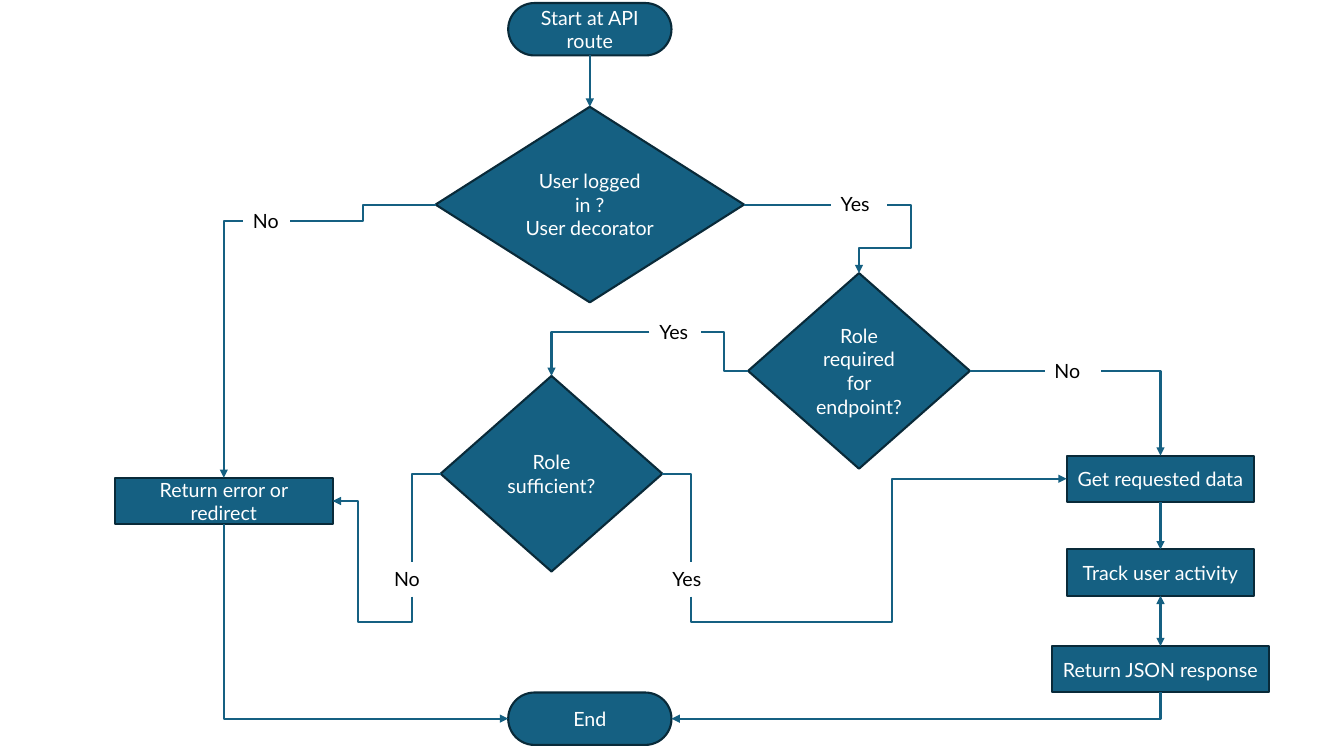
from lxml import etree
from pptx import Presentation
from pptx.dml.color import RGBColor
from pptx.enum.shapes import MSO_CONNECTOR, MSO_SHAPE
from pptx.enum.text import MSO_ANCHOR, MSO_AUTO_SIZE, PP_ALIGN
from pptx.oxml.ns import qn
from pptx.util import Inches, Pt

PILL = MSO_SHAPE.FLOWCHART_TERMINATOR
DIAMOND = MSO_SHAPE.DIAMOND
RECT = MSO_SHAPE.RECTANGLE
ELBOW = MSO_CONNECTOR.ELBOW
STRAIGHT = MSO_CONNECTOR.STRAIGHT
CENTER, LEFT_AL = PP_ALIGN.CENTER, PP_ALIGN.LEFT
MIDDLE, UPPER = MSO_ANCHOR.MIDDLE, MSO_ANCHOR.TOP
FIT = MSO_AUTO_SIZE.SHAPE_TO_FIT_TEXT

COLORS = {"fill": "156082", "edge": "092A39", "light": "FFFFFF", "dark": "000000"}
FONT = "Lato"
TOP, LEFT, BOTTOM, RIGHT = range(4)  # connection sites

# key: shape, left, top, width, height, text
NODES = {
    "start": (PILL, 5.04, 0.03, 1.62, 0.52, "Start at API route"),
    "login": (DIAMOND, 4.32, 1.06, 3.06, 1.94, "User logged in ?\nUser decorator"),
    "role": (DIAMOND, 7.42, 2.71, 2.2, 1.94, "Role required for endpoint?"),
    "enough": (DIAMOND, 4.37, 3.73, 2.2, 1.94, "Role sufficient?"),
    "error": (RECT, 1.14, 4.74, 2.16, 0.46, "Return error or redirect"),
    "data": (RECT, 10.58, 4.52, 1.86, 0.46, "Get requested data"),
    "track": (RECT, 10.58, 5.45, 1.86, 0.46, "Track user activity"),
    "json": (RECT, 10.43, 6.41, 2.16, 0.46, "Return JSON response"),
    "end": (PILL, 5.04, 6.87, 1.62, 0.52, "End"),
}

# key: left, top, width, text
LABELS = {
    "login no": (2.41, 2.02, 0.47, "No"),
    "login yes": (8.24, 1.86, 0.56, "Yes"),
    "role yes": (6.44, 3.12, 0.51, "Yes"),
    "role no": (10.36, 3.51, 0.56, "No"),
    "enough no": (3.81, 5.58, 0.56, "No"),
    "enough yes": (6.57, 5.58, 0.56, "Yes"),
}

# from, site, to, site, arrowheads, bends along the first and second direction
LINKS = [
    ("start", BOTTOM, "login", TOP, ["tail"], ()),
    ("login", LEFT, "login no", RIGHT, [], ()),
    ("login no", LEFT, "error", TOP, ["tail"], ()),
    ("login", RIGHT, "login yes", LEFT, [], ()),
    ("login yes", RIGHT, "role", TOP, ["tail"], (9.04, 2.46)),
    ("role", LEFT, "role yes", RIGHT, [], ()),
    ("role yes", LEFT, "enough", TOP, ["tail"], ()),
    ("enough", LEFT, "enough no", TOP, [], ()),
    ("enough no", BOTTOM, "error", RIGHT, ["tail"], (6.17, 3.55)),
    ("error", BOTTOM, "end", LEFT, ["tail"], ()),
    ("enough", RIGHT, "enough yes", TOP, [], ()),
    ("enough yes", BOTTOM, "data", LEFT, ["tail"], (6.17, 8.85)),
    ("role", RIGHT, "role no", LEFT, [], ()),
    ("role no", RIGHT, "data", TOP, ["tail"], ()),
    ("data", BOTTOM, "track", TOP, ["tail"], ()),
    ("track", BOTTOM, "json", TOP, ["head", "tail"], ()),
    ("json", BOTTOM, "end", RIGHT, ["tail"], ()),
]


def rgb(name):
    return RGBColor.from_string(COLORS[name])


def put_text(shape, text, color="light", align=CENTER, anchor=MIDDLE, size=14):
    frame = shape.text_frame
    frame.word_wrap = True
    frame.vertical_anchor = anchor
    frame.text = text
    for para in frame.paragraphs:
        para.alignment = align
        for run in para.runs:
            run.font.name = FONT
            run.font.size = Pt(size)
            run.font.color.rgb = rgb(color)


def add_node(slide, x, y, kind, left, top, width, height, text):
    node = slide.shapes.add_shape(
        kind, Inches(x + left), Inches(y + top), Inches(width), Inches(height))
    node.shadow.inherit = False
    node.fill.solid()
    node.fill.fore_color.rgb = rgb("fill")
    node.line.color.rgb = rgb("edge")
    node.line.width = Pt(1.5)
    put_text(node, text)
    return node


def add_label(slide, x, y, left, top, width, text):
    label = slide.shapes.add_textbox(
        Inches(x + left), Inches(y + top), Inches(width), Inches(0.34))
    put_text(label, text, color="dark", align=LEFT_AL, anchor=UPPER)
    label.text_frame.auto_size = FIT
    return label


def site_point(shape, site):
    mid_x, mid_y = shape.left + shape.width // 2, shape.top + shape.height // 2
    return [(mid_x, shape.top), (shape.left, mid_y),
            (mid_x, shape.top + shape.height), (shape.left + shape.width, mid_y)][site]


def bend(line, start, end, down, count, bends):
    """Fit an elbow of count segments; down means it leaves vertically."""
    dx, dy = end[0] - start[0], end[1] - start[1]
    spans, base = ((dy, dx), (start[1], start[0])) if down else ((dx, dy), start)
    flip_h = spans[0] < 0
    flip_v = (dx > 0) if down else (dy < 0)
    turn = 90 if down else 0
    if count < 4 and (flip_v if down else flip_h):
        turn, flip_h, flip_v = turn + 180, not flip_h, not flip_v

    # The frame is centred between both ends, before it is turned
    line.width, line.height = abs(spans[0]), abs(spans[1])
    line.left = (start[0] + end[0] - line.width) // 2
    line.top = (start[1] + end[1] - line.height) // 2
    props = line._element.spPr
    frame = props.find(qn("a:xfrm"))
    for key, value in (("rot", turn * 60000), ("flipH", flip_h), ("flipV", flip_v)):
        frame.set(key, str(int(value)))

    shape = props.find(qn("a:prstGeom"))
    shape.set("prst", f"bentConnector{count}")
    guides = shape.find(qn("a:avLst"))
    for num, (at, origin, span) in enumerate(zip(bends, base, spans), 1):
        ratio = round((at - origin) / span * 100000)
        etree.SubElement(guides, qn("a:gd"), name=f"adj{num}", fmla=f"val {ratio}")


def add_link(slide, x, y, source, out, target, into, heads, bends):
    start, end = site_point(source, out), site_point(target, into)
    down = out in (TOP, BOTTOM)
    same = down == (into in (TOP, BOTTOM))
    axis = 0 if down else 1
    straight = same and abs(start[axis] - end[axis]) < Inches(0.02)
    line = slide.shapes.add_connector(STRAIGHT if straight else ELBOW, *start, *end)
    line.begin_connect(source, out)
    line.end_connect(target, into)
    if not straight:
        shift = (y, x) if down else (x, y)
        places = [Inches(at + off) for at, off in zip(bends, shift)]
        bend(line, start, end, down, 3 if same else 2 + len(bends), places)
    line.line.color.rgb = rgb("fill")
    line.line.width = Pt(1.5)
    stroke = line.line._get_or_add_ln()
    for head in heads:
        etree.SubElement(stroke, qn(f"a:{head}End"), type="triangle")
    etree.SubElement(line._element.spPr, qn("a:effectLst"))


def draw_flow(slide, x, y):
    # Steps and decisions
    parts = {key: add_node(slide, x, y, *node) for key, node in NODES.items()}
    # Answers on the branches
    parts.update({key: add_label(slide, x, y, *label) for key, label in LABELS.items()})
    # Connectors
    for source, out, target, into, heads, bends in LINKS:
        add_link(slide, x, y, parts[source], out, parts[target], into, heads, bends)


def main():
    deck = Presentation()
    deck.slide_width, deck.slide_height = Inches(13.33), Inches(7.5)
    slide = deck.slides.add_slide(deck.slide_layouts[6])
    draw_flow(slide, 0, 0)
    deck.save("out.pptx")


if __name__ == "__main__":
    main()
